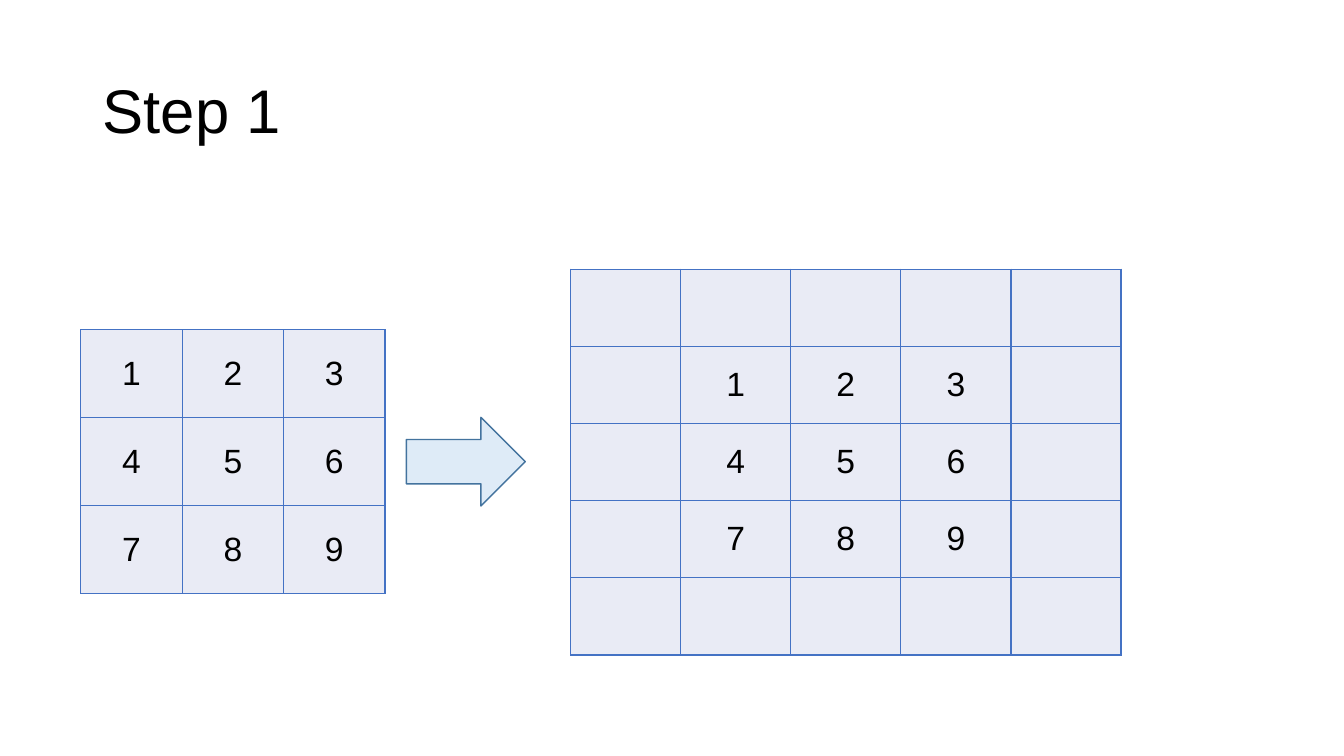
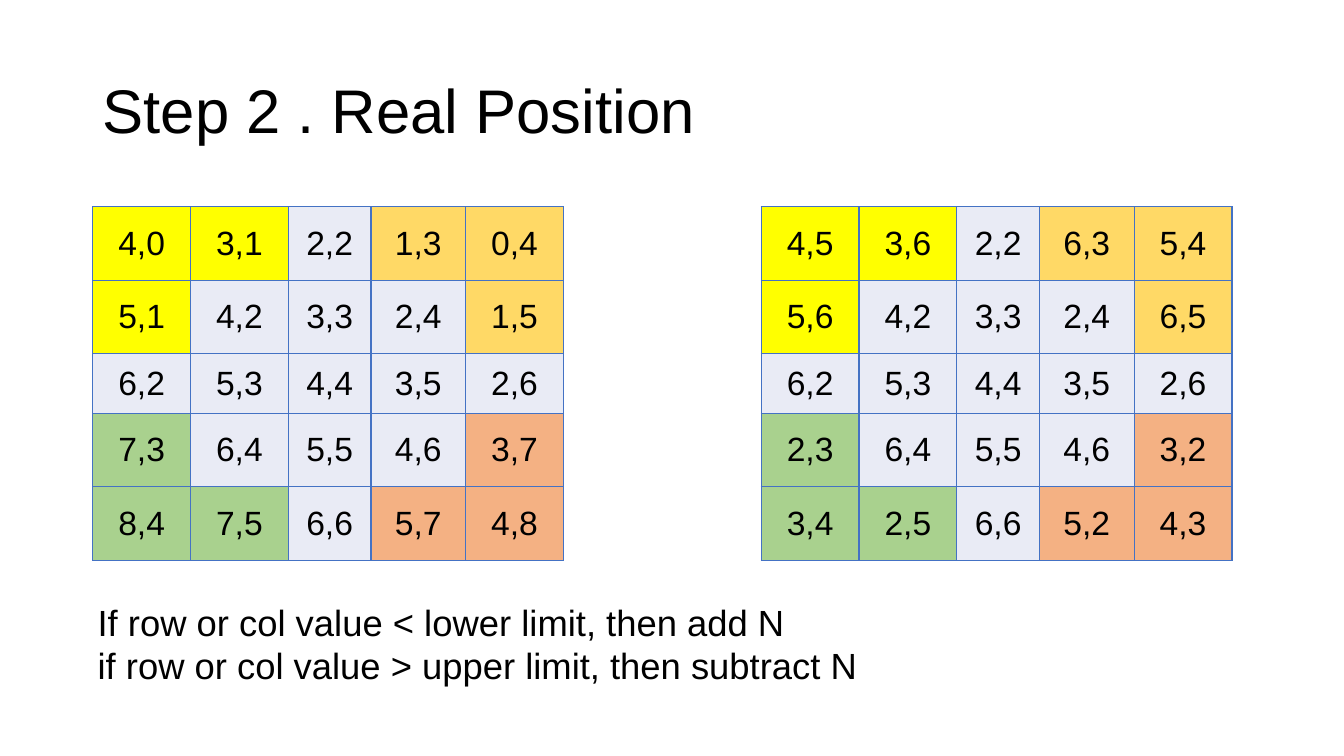
from lxml import etree
from pptx import Presentation
from pptx import util as u
from pptx.dml.color import RGBColor
from pptx.enum import shapes, text
from pptx.oxml.ns import qn

COLORS = {
    "text": "000000",
    "cell": "E9EBF5",
    "border": "4472C4",
    "arrow": "DEEBF7",
    "arrow_line": "43739E",
    "col_low": "FFFF00",
    "row_low": "FFD966",
    "row_high": "A9D18E",
    "col_high": "F4B183",
}
LOWER, UPPER, N = 2, 6, 5


class Deck:
    """Hold the shared style and the current slide."""

    font = "Arial"

    def __init__(self):
        self.presentation = Presentation()
        self.presentation.slide_width = u.Inches(13.33)
        self.presentation.slide_height = u.Inches(7.5)
        self.slide = None

    def color(self, name):
        return RGBColor.from_string(COLORS[name])

    def add_slide(self, title):
        layout = self.presentation.slide_layouts[6]
        self.slide = self.presentation.slides.add_slide(layout)
        frame = self.add_text([title], 0.92, 0.4, 11.5, 1.45, 44)
        frame.vertical_anchor = text.MSO_ANCHOR.MIDDLE
        frame.paragraphs[0].line_spacing = 0.9

    def add_run(self, paragraph, content, size):
        run = paragraph.add_run()
        run.text = content
        run.font.name = self.font
        run.font.size = u.Pt(size)
        run.font.color.rgb = self.color("text")

    def add_text(self, lines, left, top, width, height, size):
        box = self.slide.shapes.add_textbox(
            u.Inches(left), u.Inches(top), u.Inches(width), u.Inches(height))
        frame = box.text_frame
        frame.word_wrap = True
        for index, line in enumerate(lines):
            paragraph = frame.add_paragraph() if index else frame.paragraphs[0]
            self.add_run(paragraph, line, size)
        return frame

    def add_arrow(self, left, top, width, height):
        arrow = self.slide.shapes.add_shape(
            shapes.MSO_SHAPE.RIGHT_ARROW,
            u.Inches(left), u.Inches(top), u.Inches(width), u.Inches(height))
        arrow.shadow.inherit = False
        arrow.fill.solid()
        arrow.fill.fore_color.rgb = self.color("arrow")
        arrow.line.color.rgb = self.color("arrow_line")
        arrow.line.width = u.Pt(1)

    def add_borders(self, cell):
        properties = cell._tc.get_or_add_tcPr()
        for side in ("lnL", "lnR", "lnT", "lnB"):
            line = etree.SubElement(properties, qn(f"a:{side}"), w=str(u.Pt(1)))
            fill = etree.SubElement(line, qn("a:solidFill"))
            etree.SubElement(fill, qn("a:srgbClr"), val=COLORS["border"])

    def add_grid(self, cells, left, top, widths, heights):
        table = self.slide.shapes.add_table(
            len(heights), len(widths), u.Inches(left), u.Inches(top),
            u.Inches(sum(widths)), u.Inches(sum(heights))).table
        table.first_row = False
        table.horz_banding = False
        for column, width in zip(table.columns, widths):
            column.width = u.Inches(width)
        for row, height, values in zip(table.rows, heights, cells):
            row.height = u.Inches(height)
            for cell, (content, fill) in zip(row.cells, values):
                self.add_borders(cell)
                cell.fill.solid()
                cell.fill.fore_color.rgb = self.color(fill)
                cell.vertical_anchor = text.MSO_ANCHOR.MIDDLE
                paragraph = cell.text_frame.paragraphs[0]
                paragraph.alignment = text.PP_ALIGN.CENTER
                if content:
                    self.add_run(paragraph, content, 24)


def number_cells(padding):
    span = range(-padding, 3 + padding)
    return [[(str(3 * row + col + 1) if {row, col} <= {0, 1, 2} else "", "cell")
             for col in span] for row in span]


def region(row, col):
    if col < LOWER:
        return "col_low"
    if row < LOWER:
        return "row_low"
    if row > UPPER:
        return "row_high"
    return "col_high" if col > UPPER else "cell"


def wrap(value):
    return (value - LOWER) % N + LOWER


def position_cells(adjust):
    positions = [[(4 + down - across, down + across) for across in range(N)]
                 for down in range(N)]
    return [[(f"{adjust(row)},{adjust(col)}", region(row, col))
             for row, col in line] for line in positions]


def main():
    deck = Deck()

    deck.add_slide("Step 1")
    deck.add_grid(number_cells(0), 0.8, 3.27, [3.02 / 3] * 3, [2.62 / 3] * 3)
    deck.add_arrow(4.03, 4.14, 1.18, 0.88)
    deck.add_grid(number_cells(1), 5.66, 2.67, [5.46 / 5] * 5, [3.83 / 5] * 5)

    deck.add_slide("Step 2 . Real Position")
    widths = [0.97, 0.97, 0.82, 0.94, 0.97]
    heights = [0.73, 0.73, 0.59, 0.73, 0.73]
    for left, adjust in ((7.55, wrap), (0.92, int)):
        deck.add_grid(position_cells(adjust), left, 2.05, widths, heights)
    deck.add_text(["If row or col value < lower limit, then add N",
                   "if row or col value > upper limit, then subtract N"],
                  0.87, 5.9, 8.91, 0.97, 26)

    deck.presentation.save("out.pptx")


if __name__ == "__main__":
    main()
